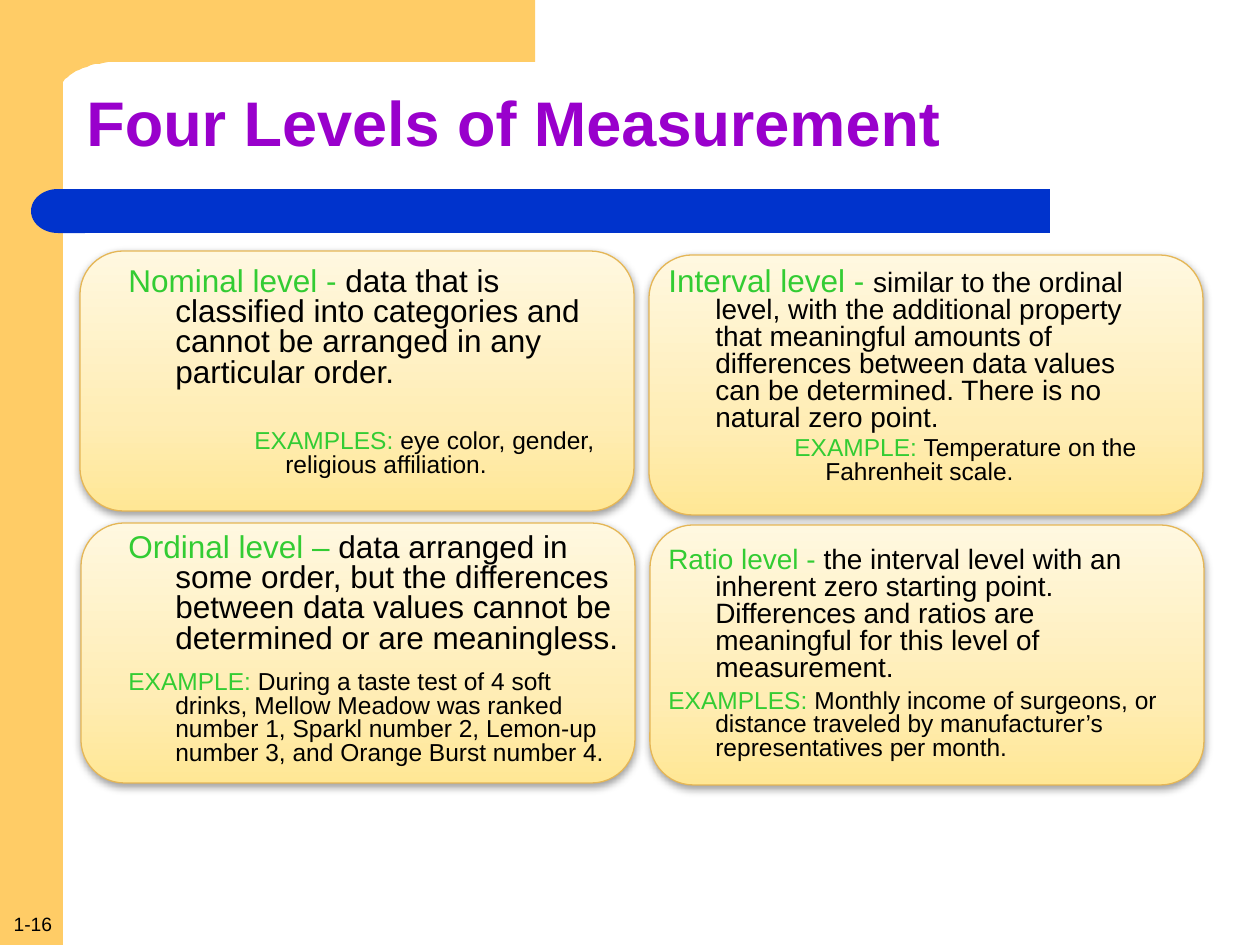
from math import cos, pi, sin

from lxml.etree import SubElement
from pptx import Presentation
from pptx.dml.color import RGBColor
from pptx.enum.shapes import MSO_SHAPE as SHAPE
from pptx.enum.text import MSO_ANCHOR as ANCHOR, PP_ALIGN as ALIGN
from pptx.oxml.ns import qn
from pptx.util import Pt

PX = 914400 // 126
FONT = "Arial"
ORANGE = RGBColor(0xFF, 0xCC, 0x66)
BLUE = RGBColor(0x00, 0x33, 0xCC)
PURPLE = RGBColor(0x99, 0x00, 0xCC)
GREEN = RGBColor(0x33, 0xCC, 0x33)
BLACK = RGBColor(0x00, 0x00, 0x00)
CARD_LINE = RGBColor(0xE5, 0xB6, 0x56)
CARD_STOPS = [(0, "FFE795"), (35, "FFEDB5"), (100, "FFF8E0")]

TITLE = "Four Levels of Measurement"
PAGE = "1-16"
HANGING = (47, -47)
NESTED = (157, -31)
CARD_W, CARD_H = 554, 260
TEXT_W, TEXT_H = 519, 240

LEVELS = [
    dict(card=(80, 251), text=(116, 262), sizes=(18, 18), gap=23.8, indent=NESTED,
         term="Nominal level - ",
         meaning="data that is classified into categories and cannot be "
                 "arranged in any particular order.",
         label="EXAMPLES:", example=" eye color, gender, religious affiliation."),
    dict(card=(81, 523), text=(116, 528), sizes=(18, 18), gap=9.5, indent=HANGING,
         term="Ordinal level – ",
         meaning="data arranged in some order, but the differences between "
                 "data values cannot be determined or are meaningless.",
         label="EXAMPLE:",
         example=" During a taste test of 4 soft drinks, Mellow Meadow was ranked "
                 "number 1, Sparkl number 2, Lemon-up number 3, and "
                 "Orange Burst number 4."),
    dict(card=(649, 255), text=(656, 262), sizes=(18, 16), gap=2.8, indent=NESTED,
         term="Interval level - ",
         meaning="similar to the ordinal level, with the additional property that "
                 "meaningful amounts of differences between data values can be "
                 "determined. There is no natural zero point.",
         label="EXAMPLE:", example=" Temperature on the Fahrenheit scale."),
    dict(card=(650, 525), text=(656, 542), sizes=(16, 16), gap=4.6, indent=HANGING,
         term="Ratio level - ",
         meaning="the interval level with an inherent zero starting point. "
                 "Differences and ratios are meaningful for this level of "
                 "measurement.",
         label="EXAMPLES: ",
         example="Monthly income of surgeons, or distance traveled by "
                 "manufacturer’s representatives per month."),
]

prs = Presentation()
prs.slide_width, prs.slide_height = 1260 * PX, 945 * PX
slide = prs.slides.add_slide(prs.slide_layouts[6])
shapes = slide.shapes


def paint(s, color):
    s.shadow.inherit = False
    s.fill.solid()
    s.fill.fore_color.rgb = color
    s.line.fill.background()


def add_shape(kind, x, y, w, h):
    return shapes.add_shape(kind, x * PX, y * PX, w * PX, h * PX)


def add_text(p, text, size=18, color=BLACK, bold=False):
    r = p.add_run()
    r.text = text
    r.font.name = FONT
    r.font.size = Pt(size)
    r.font.bold = bold
    r.font.color.rgb = color


def add_box(x, y, w, h, anchor=ANCHOR.TOP):
    tf = shapes.add_textbox(x * PX, y * PX, w * PX, h * PX).text_frame
    tf.word_wrap = True
    tf.vertical_anchor = anchor
    return tf


def set_layout(p, indent, before=0):
    p.line_spacing = 0.8
    p.space_before = Pt(before)
    left, first = indent
    pPr = p._p.get_or_add_pPr()
    pPr.set("marL", str(left * PX))
    pPr.set("indent", str(first * PX))


def add_card(x, y):
    s = add_shape(SHAPE.ROUNDED_RECTANGLE, x, y, CARD_W, CARD_H)
    s.line.color.rgb = CARD_LINE
    s.line.width = Pt(0.75)
    s.fill.gradient()
    s.fill.gradient_angle = 90
    spPr = s._element.spPr
    stops = spPr.find(qn("a:gradFill")).find(qn("a:gsLst"))
    stops.clear()
    for pos, color in CARD_STOPS:
        gs = SubElement(stops, qn("a:gs"), pos=str(pos * 1000))
        SubElement(gs, qn("a:srgbClr"), val=color)
    s.shadow.inherit = False
    shadow = SubElement(spPr.find(qn("a:effectLst")), qn("a:outerShdw"),
                        blurRad=str(Pt(5)), dist=str(Pt(1.6)),
                        dir="5400000", rotWithShape="0")
    black = SubElement(shadow, qn("a:srgbClr"), val="000000")
    SubElement(black, qn("a:alpha"), val="38000")


paint(add_shape(SHAPE.RECTANGLE, 0, 0, 63, 945), ORANGE)
corner = [(117 - 58 * sin(a), 94 - 32 * cos(a))
          for a in (i * pi / 40 for i in range(21))]
outline = [(535, 0), (535, 62)] + corner + [(0, 94)]
fb = shapes.build_freeform(0, 0, scale=PX)
fb.add_line_segments(outline, close=True)
paint(fb.convert_to_shape(), ORANGE)

paint(add_shape(SHAPE.RECTANGLE, 84, 189, 966, 44), BLUE)
cap = add_shape(SHAPE.FLOWCHART_DELAY, 31, 189, 54, 44)
cap._element.spPr.xfrm.set("flipH", "1")
paint(cap, BLUE)

p = add_box(0, 906, 66, 35).paragraphs[0]
p.alignment = ALIGN.CENTER
add_text(p, PAGE, size=11)

p = add_box(74, 63, 1092, 126, ANCHOR.MIDDLE).paragraphs[0]
p.line_spacing = 0.9
add_text(p, TITLE, size=36, color=PURPLE, bold=True)

for level in LEVELS:
    add_card(*level["card"])
    tf = add_box(*level["text"], TEXT_W, TEXT_H)
    term_size, meaning_size = level["sizes"]
    p = tf.paragraphs[0]
    set_layout(p, HANGING)
    add_text(p, level["term"], size=term_size, color=GREEN)
    add_text(p, level["meaning"], size=meaning_size)
    p = tf.add_paragraph()
    set_layout(p, level["indent"], level["gap"])
    add_text(p, level["label"], size=14, color=GREEN)
    add_text(p, level["example"], size=14)

prs.save("out.pptx")
